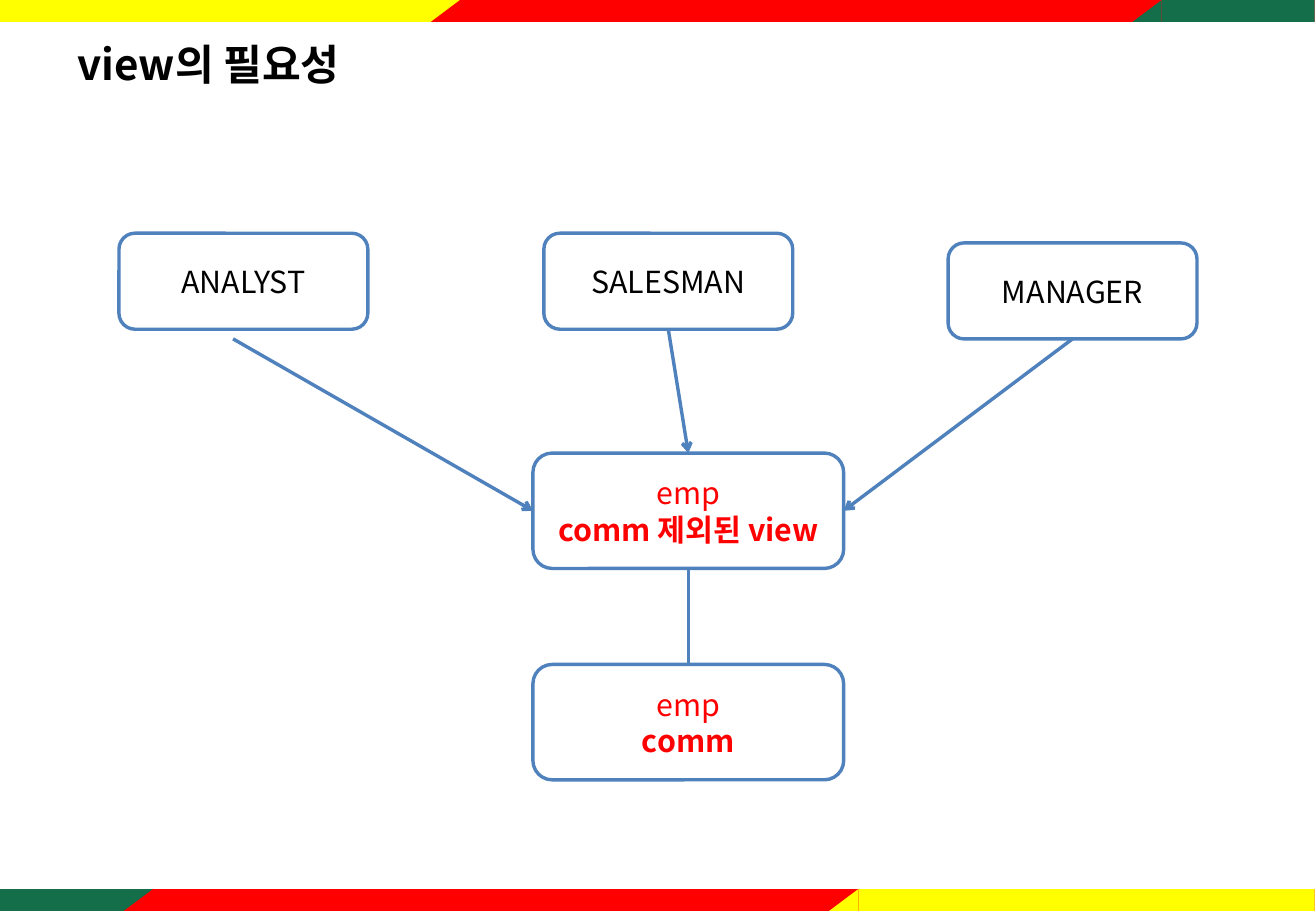
from lxml import etree
from pptx import Presentation
from pptx import util as u
from pptx.dml.color import RGBColor
from pptx.enum import shapes, text
from pptx.oxml.ns import qn

COLORS = {"red": "FF0000", "yellow": "FFFF00", "green": "146E4A",
          "blue": "4F81BD", "white": "FFFFFF", "black": "000000"}
CELL = 0.1
TOP, LEFT, BOTTOM, RIGHT = range(4)


class Deck:
    """Draws styled elements on one slide, measured in grid columns and rows."""

    font = "Noto Sans CJK KR"
    line_width = u.Pt(2)

    def __init__(self, columns, rows):
        self.prs = Presentation()
        self.prs.slide_width, self.prs.slide_height = self.cells(columns, rows)
        self.s = self.prs.slides.add_slide(self.prs.slide_layouts[6])

    def cells(self, *counts):
        return [u.Inches(n * CELL) for n in counts]

    def color(self, name):
        return RGBColor.from_string(COLORS[name])

    def shape(self, kind, box, fill):
        sp = self.s.shapes.add_shape(kind, *self.cells(*box))
        sp.shadow.inherit = False
        sp.fill.solid()
        sp.fill.fore_color.rgb = self.color(fill)
        sp.line.fill.background()
        return sp

    def bar(self, col, row, width, height, fill):
        self.shape(shapes.MSO_SHAPE.RECTANGLE, (col, row, width, height), fill)

    def slant(self, right, row, height, fill):
        width = 2.4
        sp = self.shape(shapes.MSO_SHAPE.RIGHT_TRIANGLE,
                        (right - width, row, width, height), fill)
        sp._element.spPr.find(qn("a:xfrm")).set("flipH", "1")

    def label(self, sp, words, size, color, align, bold_from, side):
        tf = sp.text_frame
        tf.text = words
        tf.word_wrap = True
        tf.vertical_anchor = text.MSO_ANCHOR.MIDDLE
        tf.margin_left = tf.margin_right = u.Inches(side)
        for i, p in enumerate(tf.paragraphs):
            p.alignment = align
            for r in p.runs:
                r.font.name = self.font
                r.font.size = u.Pt(size)
                r.font.bold = i >= bold_from
                r.font.color.rgb = self.color(color)
                ea = etree.SubElement(r._r.get_or_add_rPr(), qn("a:ea"))
                ea.set("typeface", self.font)

    def title(self, box, words):
        sp = self.s.shapes.add_textbox(*self.cells(*box))
        self.label(sp, words, 25, "black", text.PP_ALIGN.LEFT, 0, 0.1)

    def node(self, box, words, color):
        sp = self.shape(shapes.MSO_SHAPE.ROUNDED_RECTANGLE, box, "white")
        sp.line.color.rgb = self.color("blue")
        sp.line.width = self.line_width
        self.label(sp, words, 18, color, text.PP_ALIGN.CENTER, 1, 0.12)
        return sp

    def link(self, end, end_side, begin=None, begin_side=BOTTOM,
             start=(0, 0), arrow=True):
        c = self.s.shapes.add_connector(shapes.MSO_CONNECTOR.STRAIGHT,
                                        *self.cells(*start, *start))
        if begin is not None:
            c.begin_connect(begin, begin_side)
        c.end_connect(end, end_side)
        c.line.color.rgb = self.color("blue")
        c.line.width = self.line_width
        if arrow:
            ln = c._element.spPr.find(qn("a:ln"))
            etree.SubElement(ln, qn("a:tailEnd")).set("type", "arrow")
        etree.SubElement(c._element.spPr, qn("a:effectLst"))


def main():
    d = Deck(108.4, 75)
    band = 1.8
    foot = 75 - band

    d.bar(0, 0, 38, band, "yellow")
    d.bar(37.9, 0, 70.4, band, "red")
    d.slant(37.9, 0, band, "red")
    d.bar(95.7, 0, 12.6, band, "green")
    d.slant(95.7, 0, band, "green")

    d.bar(0, foot, 108.3, band, "red")
    d.bar(70.7, foot, 37.6, band, "yellow")
    d.slant(70.7, foot, band, "yellow")
    d.bar(0, foot, 12.6, band, "green")
    d.slant(12.6, foot, band, "red")

    d.title((5.4, 3, 97.5, 4.5), "view의 필요성")

    view = d.node((43.9, 37.3, 25.6, 9.5), "emp\ncomm 제외된 view", "red")
    table = d.node((43.9, 54.7, 25.6, 9.5), "emp\ncomm", "red")
    roles = [("ANALYST", 9.8, 19.2), ("SALESMAN", 44.8, 19.2), ("MANAGER", 78.1, 20)]
    analyst, salesman, manager = [
        d.node((col, row, 20.5, 7.9), name, "black") for name, col, row in roles]

    d.link(view, LEFT, start=(19.2, 27.9))
    d.link(view, TOP, salesman)
    d.link(view, RIGHT, manager)
    d.link(table, TOP, view, arrow=False)

    d.prs.save("out.pptx")


if __name__ == "__main__":
    main()
